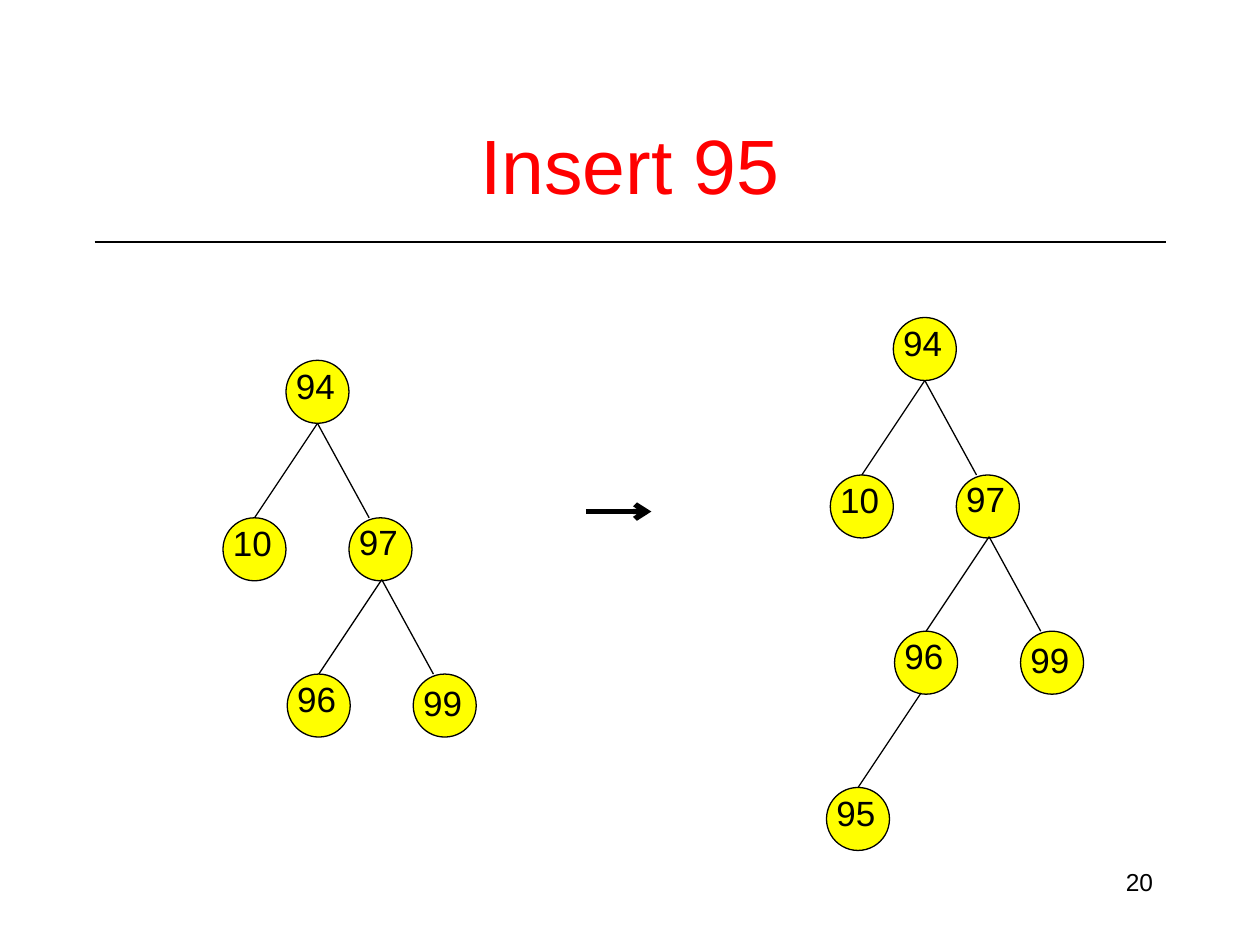
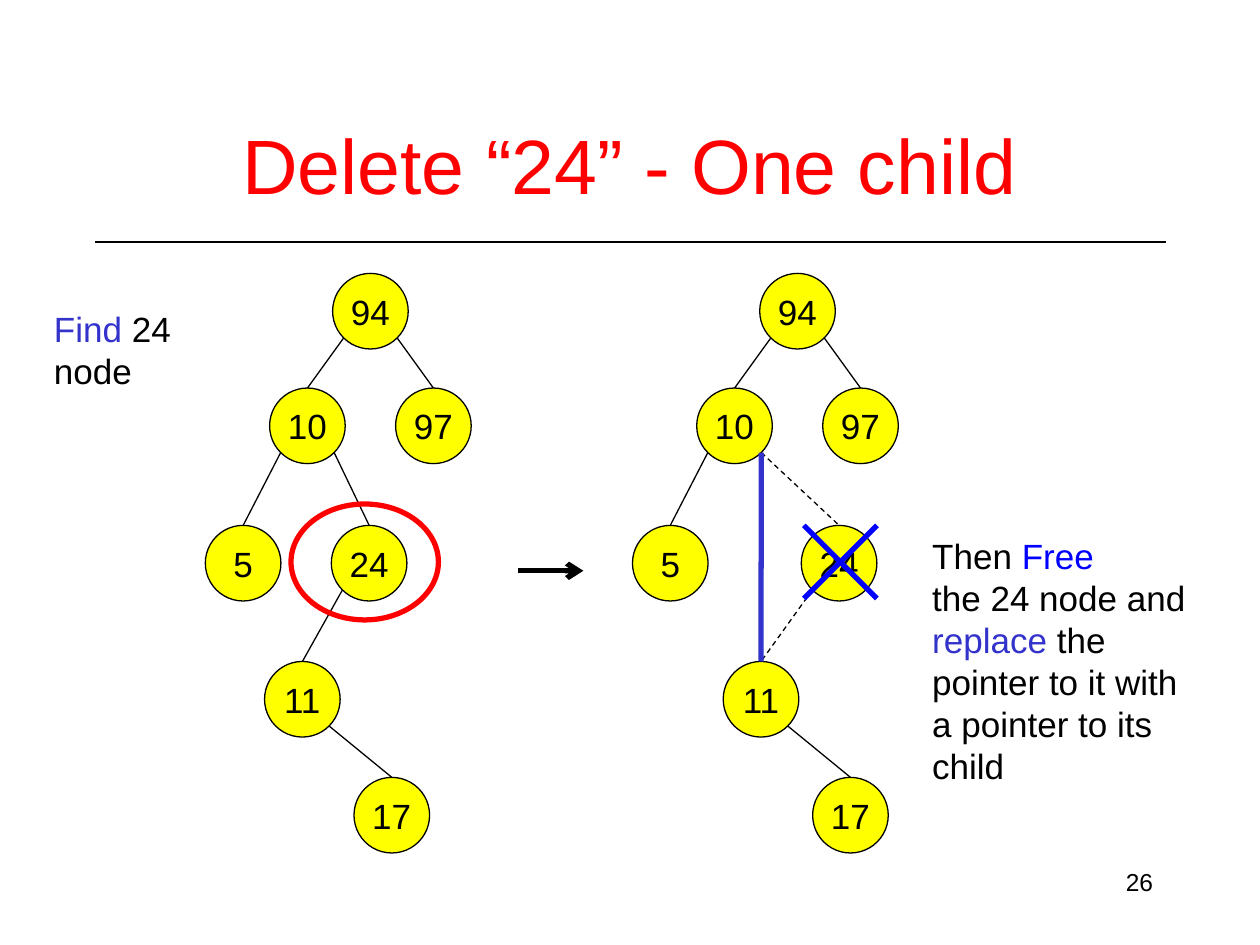
from lxml import etree
from pptx import Presentation
from pptx.dml.color import RGBColor
from pptx.enum.dml import MSO_LINE
from pptx.enum.shapes import MSO_CONNECTOR, MSO_SHAPE
from pptx.enum.text import MSO_ANCHOR, MSO_AUTO_SIZE, PP_ALIGN
from pptx.oxml.ns import qn
from pptx.util import Emu, Pt

STRAIGHT = MSO_CONNECTOR.STRAIGHT
OVAL = MSO_SHAPE.OVAL
DASH = MSO_LINE.DASH
TOP, MIDDLE = MSO_ANCHOR.TOP, MSO_ANCHOR.MIDDLE
LEFT, CENTER, RIGHT = PP_ALIGN.LEFT, PP_ALIGN.CENTER, PP_ALIGN.RIGHT
GROW = MSO_AUTO_SIZE.SHAPE_TO_FIT_TEXT

PX = 9144

THEME = {
    "font": "Arial",
    "colors": {"ink": "000000", "title": "FF0000", "node": "FFFF00",
               "accent": "3333CC", "strike": "0000FF"},
    "sizes": {"title": 44, "body": 20, "number": 14},
    "lines": {"thin": 0.75, "thick": 3},
}

TITLE_BOX = (75, 67, 850, 125)
NUMBER_BOX = (717, 683, 208, 50)
TITLE_RULE = ((75, 192), (925, 192))
ARROW_LENGTH = 52

INSERT = {
    "title": "Insert 95",
    "number": "20",
    "arrow": (465, 406),
    "node_size": 50,
    "nodes": {"94": (0, 0), "10": (-50, 125), "97": (50, 125),
              "96": (1, 249), "99": (101, 249)},
    "left_children": ["10", "96"],
    "right_children": ["97", "99"],
    "inserted": {"95": (-53, 373)},
    "before_root": (227, 286),
    "after_root": (709, 252),
    "label_rise": {"97": -3, "99": 1},
    "label_width": {"94": 76, "97": 76, "10": 55, "99": 59},
}

DELETE = {
    "title": "Delete “24” - One child",
    "number": "26",
    "arrow": (411, 453),
    "node_size": 60,
    "nodes": {"94": (0, 0), "10": (-50, 91), "97": (50, 91), "5": (-101, 200),
              "24": (-1, 200), "11": (-54, 308), "17": (17, 400)},
    "edges": [("94", "10"), ("94", "97"), ("10", "24"), ("10", "5"),
              ("24", "11"), ("11", "17")],
    "moved": {"24": (33, 200), "11": (-29, 308), "17": (42, 400)},
    "before_root": (264, 217),
    "after_root": (603, 217),
    "deleted": "24",
    "find_ring": (231, 400, 117, 92),
    "notes": [
        ((33, 239, 182, 43), [[("Find ", "accent"), ("24 node", "ink")]]),
        ((730, 419, 228, 210), [
            [("Then", "ink"), (" Free", "strike")],
            [("the 24 node and", "ink")],
            [("replace", "accent"), (" the", "ink")],
            [("pointer to it with", "ink")],
            [("a pointer to its", "ink")],
            [("child", "ink")],
        ]),
    ],
}


def color(role):
    return RGBColor.from_string(THEME["colors"][role])


def emu(lengths):
    return [Emu(round(length * PX)) for length in lengths]


def assign(target, values):
    for name, value in values.items():
        setattr(target, name, value)


def write(frame, paragraphs, size="body", align=LEFT, **frame_format):
    assign(frame, {"word_wrap": True, "vertical_anchor": TOP, **frame_format})
    for index, runs in enumerate(paragraphs):
        paragraph = frame.add_paragraph() if index else frame.paragraphs[0]
        paragraph.alignment = align
        for text, role in runs:
            run = paragraph.add_run()
            run.text = text
            assign(run.font, {"name": THEME["font"], "size": Pt(THEME["sizes"][size])})
            run.font.color.rgb = color(role)


def add_text(slide, box, paragraphs, **text_format):
    write(slide.shapes.add_textbox(*emu(box)).text_frame, paragraphs, **text_format)


def add_line(slide, start, end, role="ink", weight="thin", dash=None, arrow=False):
    connector = slide.shapes.add_connector(STRAIGHT, *emu((*start, *end)))
    connector.line.color.rgb = color(role)
    connector.line.width = Pt(THEME["lines"][weight])
    if dash:
        connector.line.dash_style = dash
    if arrow:
        etree.SubElement(connector.line._get_or_add_ln(), qn("a:tailEnd"), type="arrow")
    etree.SubElement(connector._element.spPr, qn("a:effectLst"))


def add_oval(slide, box, fill="node", outline="ink", weight="thin"):
    oval = slide.shapes.add_shape(OVAL, *emu(box))
    oval.shadow.inherit = False
    if fill:
        oval.fill.solid()
        oval.fill.fore_color.rgb = color(fill)
    else:
        oval.fill.background()
    oval.line.color.rgb = color(outline)
    oval.line.width = Pt(THEME["lines"][weight])
    return oval


def start_slide(deck, content):
    slide = deck.slides.add_slide(deck.slide_layouts[6])
    add_line(slide, *TITLE_RULE)
    add_text(slide, NUMBER_BOX, [[(content["number"], "ink")]], size="number", align=RIGHT)
    add_text(slide, TITLE_BOX, [[(content["title"], "title")]], size="title",
             align=CENTER, vertical_anchor=MIDDLE)
    x, y = content["arrow"]
    add_line(slide, (x, y), (x + ARROW_LENGTH, y), weight="thick", arrow=True)
    return slide


def place(root, nodes):
    return {key: (root[0] + dx, root[1] + dy) for key, (dx, dy) in nodes.items()}


def add_insert_tree(slide, root, nodes, left_children):
    size = INSERT["node_size"]
    spots = place(root, nodes)
    for x, y in spots.values():
        add_oval(slide, (x, y, size, size))
    for children, shift, run in ((left_children, 0, 50),
                                 (INSERT["right_children"], -9, -41)):
        for child in children:
            x, y = spots[child]
            foot = x + size / 2 + shift
            add_line(slide, (foot + run, y - 75), (foot, y))
    for key, (x, y) in spots.items():
        rise = INSERT["label_rise"].get(key, -2)
        width = INSERT["label_width"].get(key, 57)
        add_text(slide, (x - 2, y + rise, width, 43), [[(key, "ink")]], auto_size=GROW)


def lower_corner(spot, side):
    half = DELETE["node_size"] / 2
    reach = half * 0.707
    return spot[0] + half + side * reach, spot[1] + half + reach


def top_of(spot):
    return spot[0] + DELETE["node_size"] / 2, spot[1]


def add_delete_tree(slide, root, nodes, detached=None):
    size = DELETE["node_size"]
    spots = place(root, nodes)
    for key, (x, y) in spots.items():
        oval = add_oval(slide, (x, y, size, size))
        write(oval.text_frame, [[(key, "ink")]], align=CENTER,
              vertical_anchor=MIDDLE, word_wrap=False)
    for parent, child in DELETE["edges"]:
        side = 1 if spots[child][0] > spots[parent][0] else -1
        add_line(slide, lower_corner(spots[parent], side), top_of(spots[child]),
                 dash=DASH if detached in (parent, child) else None)
    return spots


def build_insert(deck):
    slide = start_slide(deck, INSERT)
    nodes, left = INSERT["nodes"], INSERT["left_children"]
    add_insert_tree(slide, INSERT["before_root"], nodes, left)
    add_insert_tree(slide, INSERT["after_root"], {**nodes, **INSERT["inserted"]},
                    left + list(INSERT["inserted"]))


def build_delete(deck):
    slide = start_slide(deck, DELETE)
    for box, paragraphs in DELETE["notes"]:
        add_text(slide, box, paragraphs, word_wrap=False, auto_size=GROW)
    add_delete_tree(slide, DELETE["before_root"], DELETE["nodes"])
    add_oval(slide, DELETE["find_ring"], fill=None, outline="title", weight="thick")

    deleted = DELETE["deleted"]
    spots = add_delete_tree(slide, DELETE["after_root"],
                            {**DELETE["nodes"], **DELETE["moved"]}, deleted)
    x, y = spots[deleted]
    near, far = x + 2, x + 60
    for start, end in ((near, far), (far, near)):
        add_line(slide, (start, y), (end, y + 58), role="strike", weight="thick")
    add_line(slide, lower_corner(spots["10"], 1), top_of(spots["11"]),
             role="accent", weight="thick")


def main():
    deck = Presentation()
    deck.slide_width, deck.slide_height = emu((1000, 750))
    build_insert(deck)
    build_delete(deck)
    deck.save("out.pptx")


if __name__ == "__main__":
    main()
